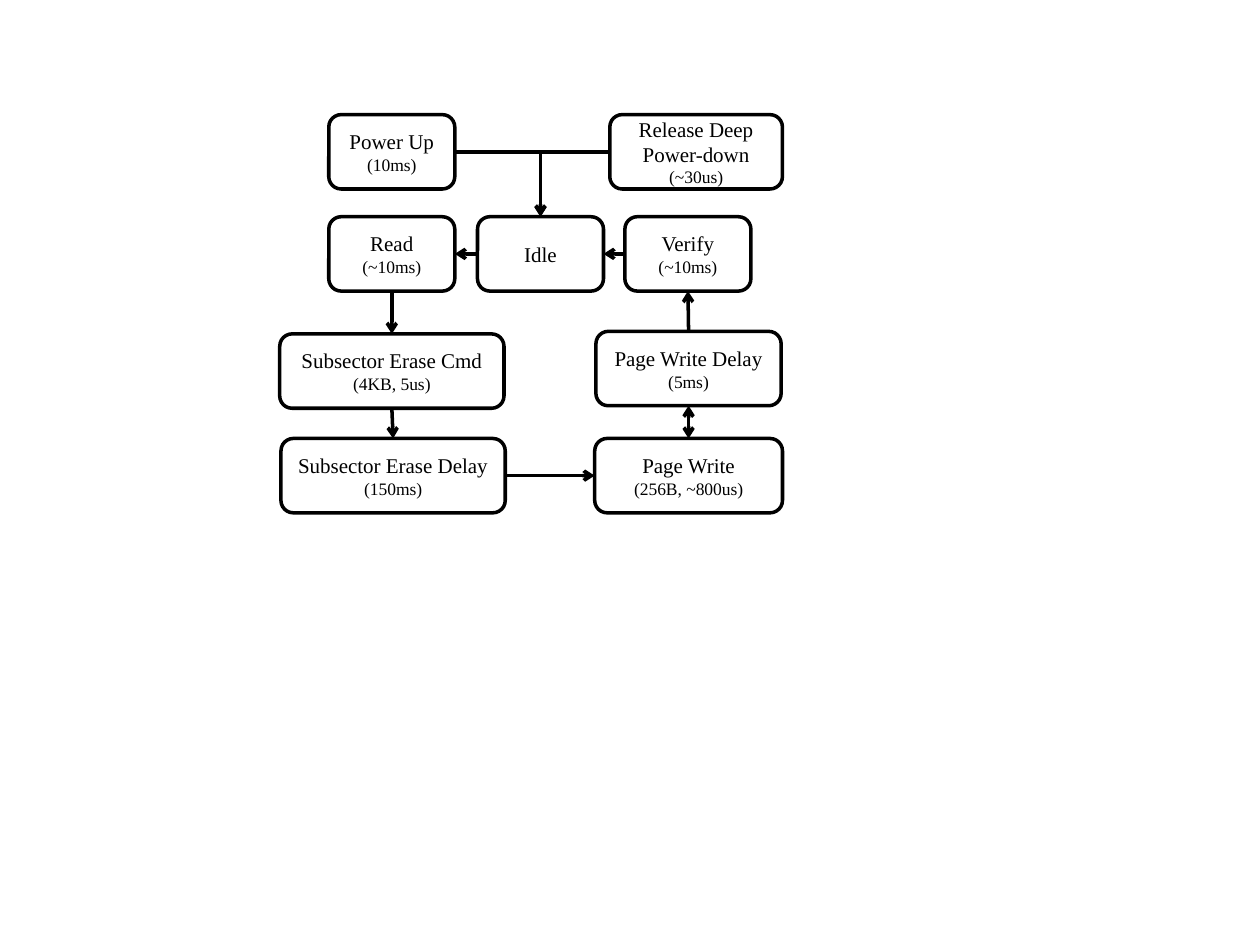
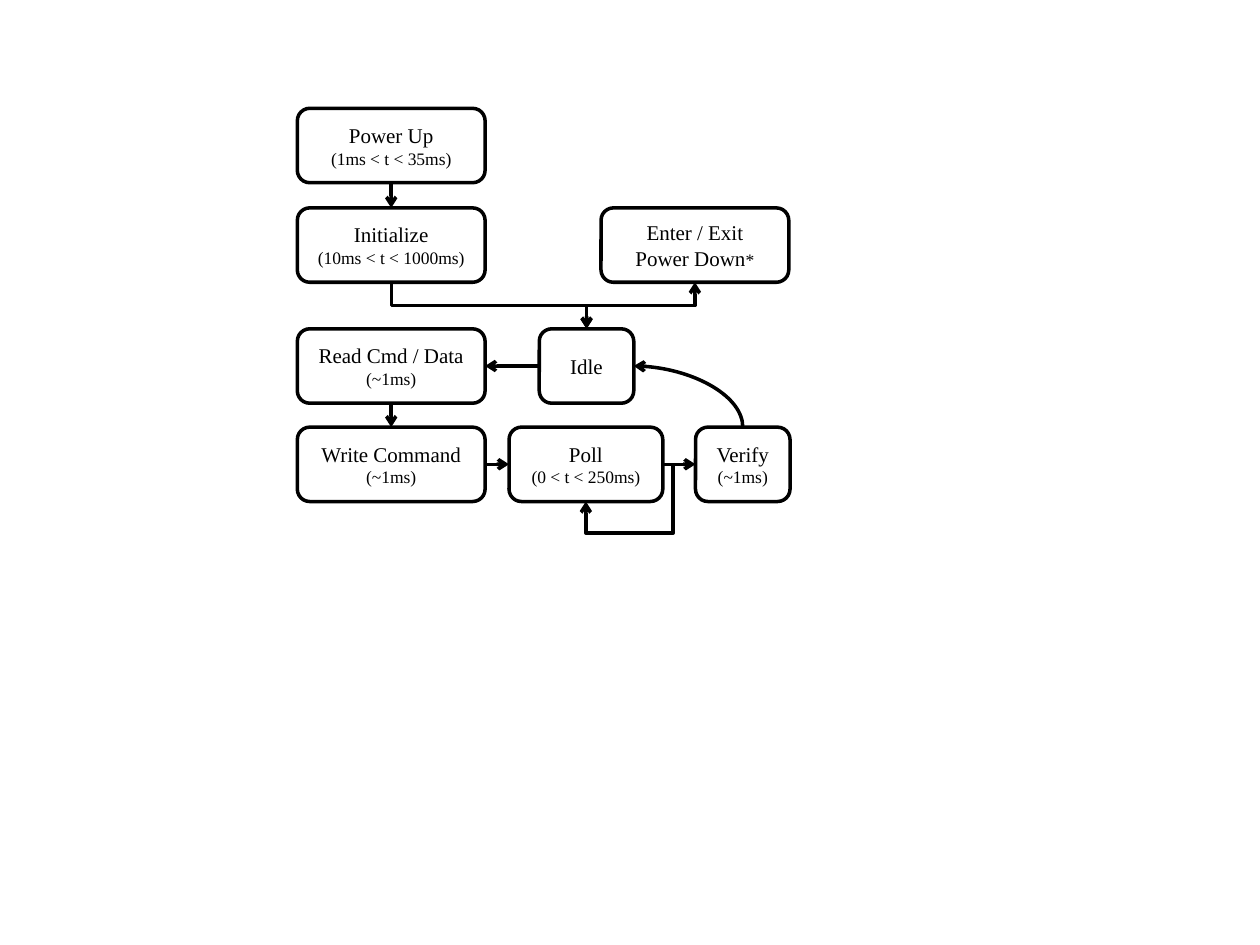
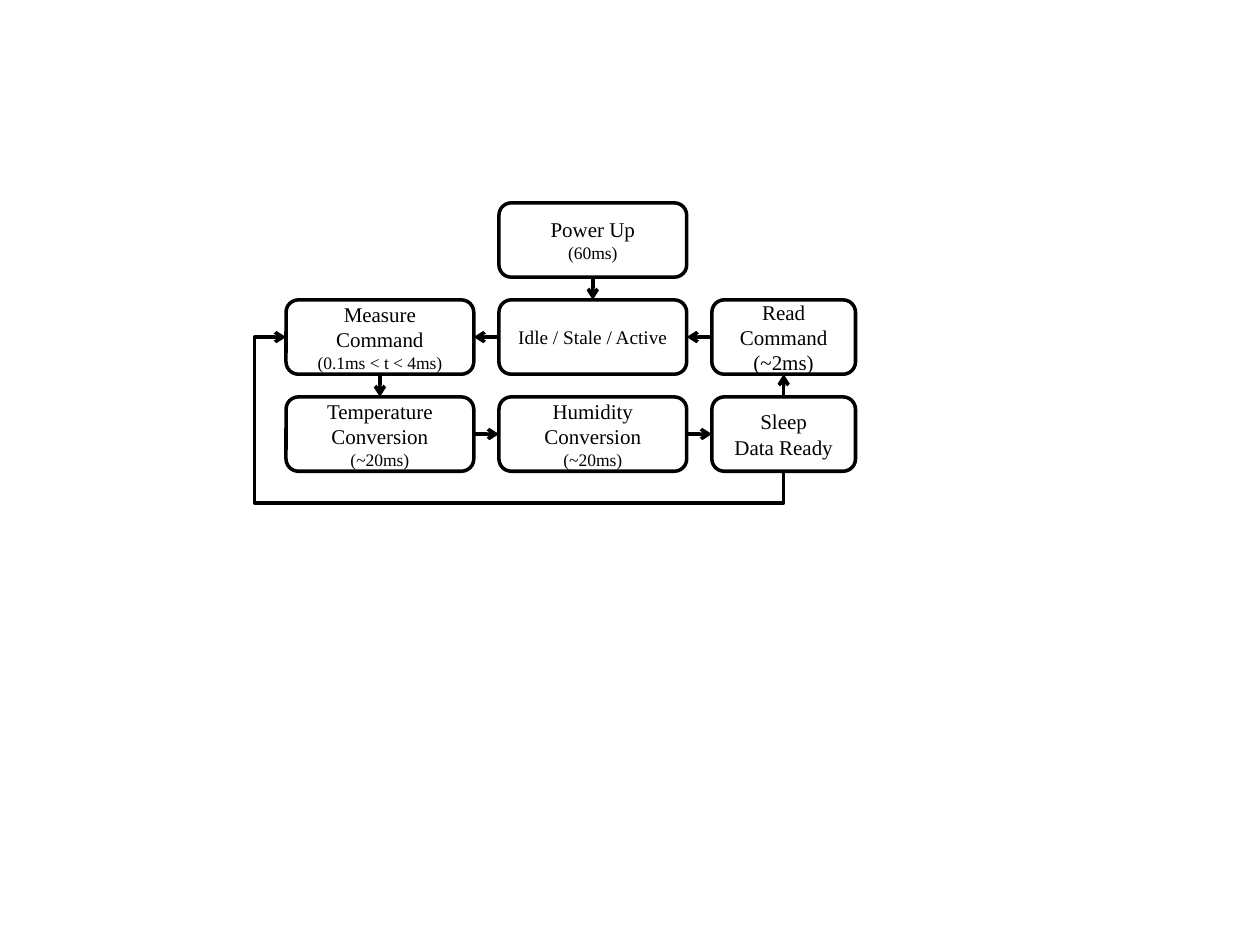
from pptx import Presentation
from pptx.dml.color import RGBColor
from pptx.enum.shapes import MSO_CONNECTOR as Link, MSO_SHAPE as Shape
from pptx.enum.text import MSO_ANCHOR as Anchor, PP_ALIGN as Align
from pptx.oxml.ns import qn
from pptx.util import Inches, Pt
from lxml.etree import SubElement

INK, PAPER, FONT = "000000", "FFFFFF", "Times New Roman"
BIG, MID, SMALL = 12, 11, 10
HIGH = 0.59  # height of every box
STROKE = 2

# Side of a box: connection site, position on the box, direction out of it
SIDES = {
    "top": (0, 0.5, 0, 270),
    "left": (1, 0, 0.5, 180),
    "bottom": (2, 0.5, 1, 90),
    "right": (3, 1, 0.5, 0),
}

# Box: left, top, width, paragraphs of (text, size) runs
# Link: from, side, to, side, then optional settings
FLASH = {
    "boxes": {
        "power": (2.61, 0.91, 1, [[("Power Up", BIG)], [("(10ms)", SMALL)]]),
        "release": (4.84, 0.91, 1.37, [[("Release Deep Power-down", BIG)],
                                       [("(~30us)", SMALL)]]),
        "read": (2.61, 1.72, 1, [[("Read", BIG)], [("(~10ms)", SMALL)]]),
        "idle": (3.79, 1.72, 1, [[("Idle", BIG)]]),
        "verify": (4.96, 1.72, 1, [[("Verify", BIG)], [("(~10ms)", SMALL)]]),
        "erase": (2.22, 2.65, 1.78, [[("Subsector Erase Cmd", BIG)],
                                     [("(4KB, 5us)", SMALL)]]),
        "delay": (4.73, 2.63, 1.47, [[("Page Write Delay", BIG)],
                                     [("(5ms)", SMALL)]]),
        "wait": (2.23, 3.48, 1.78, [[("Subsector Erase Delay", BIG)],
                                    [("(150ms)", SMALL)]]),
        "write": (4.72, 3.48, 1.49, [[("Page Write", BIG)],
                                     [("(256B, ~800us)", SMALL)]]),
    },
    "links": [
        ("power", "right", "idle", "top", {"path": "bentConnector2"}),
        ("release", "left", "idle", "top", {"path": "bentConnector2"}),
        ("idle", "left", "read", "right"),
        ("verify", "left", "idle", "right"),
        ("read", "bottom", "erase", "top"),
        ("erase", "bottom", "wait", "top"),
        ("wait", "right", "write", "left"),
        ("delay", "bottom", "write", "top", {"both": True}),
        ("delay", "top", "verify", "bottom"),
    ],
}

CARD = {
    "boxes": {
        "power": (2.36, 0.86, 1.49, [[("Power Up", BIG)],
                                     [("(1ms < t < 35ms)", SMALL)]]),
        "init": (2.36, 1.65, 1.49, [[("Initialize", BIG)],
                                    [("(10ms < t < 1000ms)", SMALL)]]),
        "down": (4.77, 1.65, 1.49, [[("Enter / Exit Power Down", BIG),
                                     ("*", SMALL)]]),
        "read": (2.36, 2.61, 1.49, [[("Read Cmd / Data", BIG)],
                                    [("(~1ms)", SMALL)]]),
        "idle": (4.28, 2.61, 0.75, [[("Idle", BIG)]]),
        "write": (2.36, 3.39, 1.49, [[("Write Command", BIG)],
                                     [("(~1ms)", SMALL)]]),
        "poll": (4.04, 3.39, 1.22, [[("Poll", BIG)],
                                    [("(0 < t < 250ms)", SMALL)]]),
        "verify": (5.52, 3.39, 0.75, [[("Verify", BIG)], [("(~1ms)", SMALL)]]),
    },
    "links": [
        ("power", "bottom", "init", "top"),
        ("init", "bottom", "idle", "top", {"path": "bentConnector3"}),
        ("down", "bottom", "idle", "top",
         {"path": "bentConnector3", "both": True}),
        ("idle", "left", "read", "right"),
        ("read", "bottom", "write", "top"),
        ("write", "right", "poll", "left"),
        ("poll", "right", "verify", "left"),
        ("poll", "right", "poll", "bottom",
         {"path": "bentConnector4", "bends": (-13700, 184700)}),
        ("verify", "top", "idle", "right", {"path": "curvedConnector2"}),
    ],
}

SENSOR = {
    "boxes": {
        "power": (3.96, 1.61, 1.49, [[("Power Up", BIG)], [("(60ms)", SMALL)]]),
        "measure": (2.27, 2.38, 1.49, [[("Measure Command", BIG)],
                                       [("(0.1ms < t < 4ms)", SMALL)]]),
        "idle": (3.96, 2.38, 1.49, [[("Idle / Stale / Active", MID)]]),
        "read": (5.65, 2.38, 1.14, [[("Read Command", BIG)],
                                    [("(~2ms)", BIG)]]),
        "temp": (2.27, 3.15, 1.49, [[("Temperature Conversion", BIG)],
                                    [("(~20ms)", SMALL)]]),
        "humid": (3.96, 3.15, 1.49, [[("Humidity Conversion", BIG)],
                                     [("(~20ms)", SMALL)]]),
        "sleep": (5.65, 3.15, 1.14, [[("Sleep", BIG)], [("Data Ready", BIG)]]),
    },
    "links": [
        ("power", "bottom", "idle", "top"),
        ("idle", "left", "measure", "right"),
        ("read", "left", "idle", "right"),
        ("measure", "bottom", "temp", "top"),
        ("temp", "right", "humid", "left"),
        ("humid", "right", "sleep", "left"),
        ("sleep", "top", "read", "bottom"),
        ("sleep", "bottom", "measure", "left",
         {"path": "bentConnector4", "bends": (-23500, 106300)}),
    ],
}


def color(code):
    """Turn a hex string into a colour."""
    return RGBColor.from_string(code)


def ink_line(line):
    """Give an outline or a link the shared stroke."""
    line.color.rgb = color(INK)
    line.width = Pt(STROKE)


def add_box(slide, left, top, width, paras):
    """Draw one rounded state box with its centred text."""
    box = slide.shapes.add_shape(Shape.FLOWCHART_ALTERNATE_PROCESS,
                                 Inches(left), Inches(top),
                                 Inches(width), Inches(HIGH))
    box.shadow.inherit = False
    box.fill.solid()
    box.fill.fore_color.rgb = color(PAPER)
    ink_line(box.line)
    frame = box.text_frame
    frame.word_wrap = True
    frame.vertical_anchor = Anchor.MIDDLE
    for i, runs in enumerate(paras):
        para = frame.add_paragraph() if i else frame.paragraphs[0]
        para.alignment = Align.CENTER
        for text, size in runs:
            run = para.add_run()
            run.text = text
            run.font.name = FONT
            run.font.size = Pt(size)
            run.font.color.rgb = color(INK)
    return box


def spot(box, side):
    """Find the middle of one side of a box."""
    _, across, down, _ = SIDES[side]
    return (round(box.left + across * box.width),
            round(box.top + down * box.height))


def bend(link, start, end, turn, path, bends):
    """Route a link that leaves its box in the direction of turn."""
    dx, dy = end[0] - start[0], end[1] - start[1]
    # The run from start to end, seen before the turn is applied
    along, aside = {0: (dx, dy), 90: (dy, -dx),
                    180: (-dx, -dy), 270: (-dy, dx)}[turn]
    flip_h, flip_v = along < 0, aside < 0
    if turn == 90 and flip_v and not flip_h:  # same route, usual form
        turn, flip_h, flip_v = 270, True, False
    link.width, link.height = abs(along), abs(aside)
    link.left = (start[0] + end[0] - link.width) // 2
    link.top = (start[1] + end[1] - link.height) // 2
    props = link.element.spPr
    frame = props.find(qn("a:xfrm"))
    frame.set("rot", str(turn * 60000))
    frame.set("flipH", str(int(flip_h)))
    frame.set("flipV", str(int(flip_v)))
    geom = props.find(qn("a:prstGeom"))
    geom.set("prst", path)
    for i, value in enumerate(bends, 1):
        SubElement(geom.find(qn("a:avLst")), qn("a:gd"),
                   name=f"adj{i}", fmla=f"val {value}")


def add_link(slide, tail, out, head, into, path="", bends=(), both=False):
    """Join two boxes with an arrow, straight unless a path is named."""
    start, end = spot(tail, out), spot(head, into)
    kind = (Link.CURVE if path.startswith("curved")
            else Link.ELBOW if path else Link.STRAIGHT)
    link = slide.shapes.add_connector(kind, *start, *end)
    link.begin_connect(tail, SIDES[out][0])
    link.end_connect(head, SIDES[into][0])
    if path:
        bend(link, start, end, SIDES[out][3], path, bends)
    ink_line(link.line)
    props = link.element.spPr
    stroke = props.find(qn("a:ln"))
    for tip in ("headEnd", "tailEnd") if both else ("tailEnd",):
        SubElement(stroke, qn(f"a:{tip}"), type="arrow")
    SubElement(props, qn("a:effectLst"))


def add_chart(deck, chart):
    """Build one slide with a state chart."""
    slide = deck.slides.add_slide(deck.slide_layouts[6])
    boxes = {name: add_box(slide, *spec)
             for name, spec in chart["boxes"].items()}
    for tail, out, head, into, *extra in chart["links"]:
        add_link(slide, boxes[tail], out, boxes[head], into,
                 **(extra[0] if extra else {}))


deck = Presentation()
deck.slide_width, deck.slide_height = Inches(10), Inches(7.5)
for chart in (FLASH, CARD, SENSOR):
    add_chart(deck, chart)
deck.save("out.pptx")
